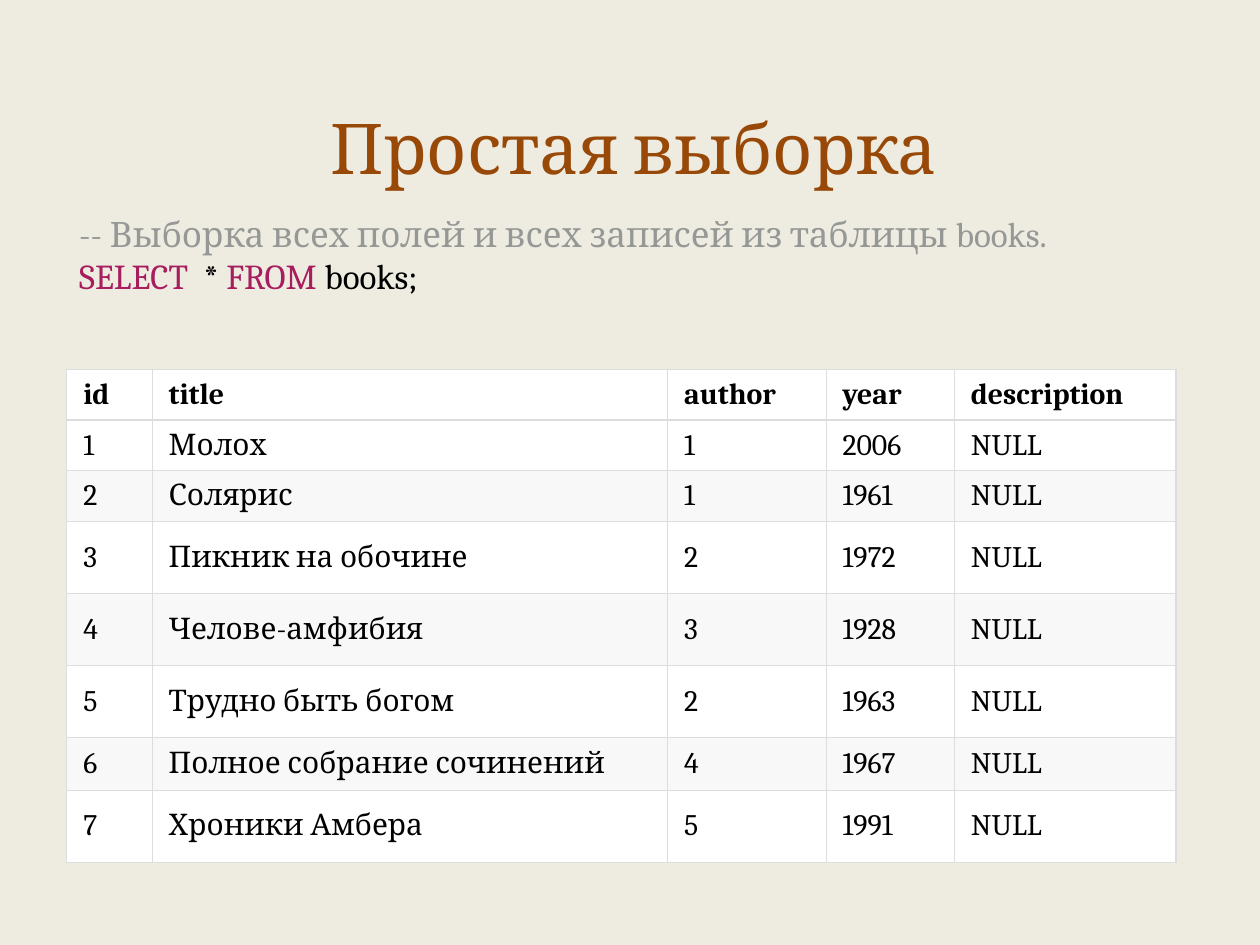
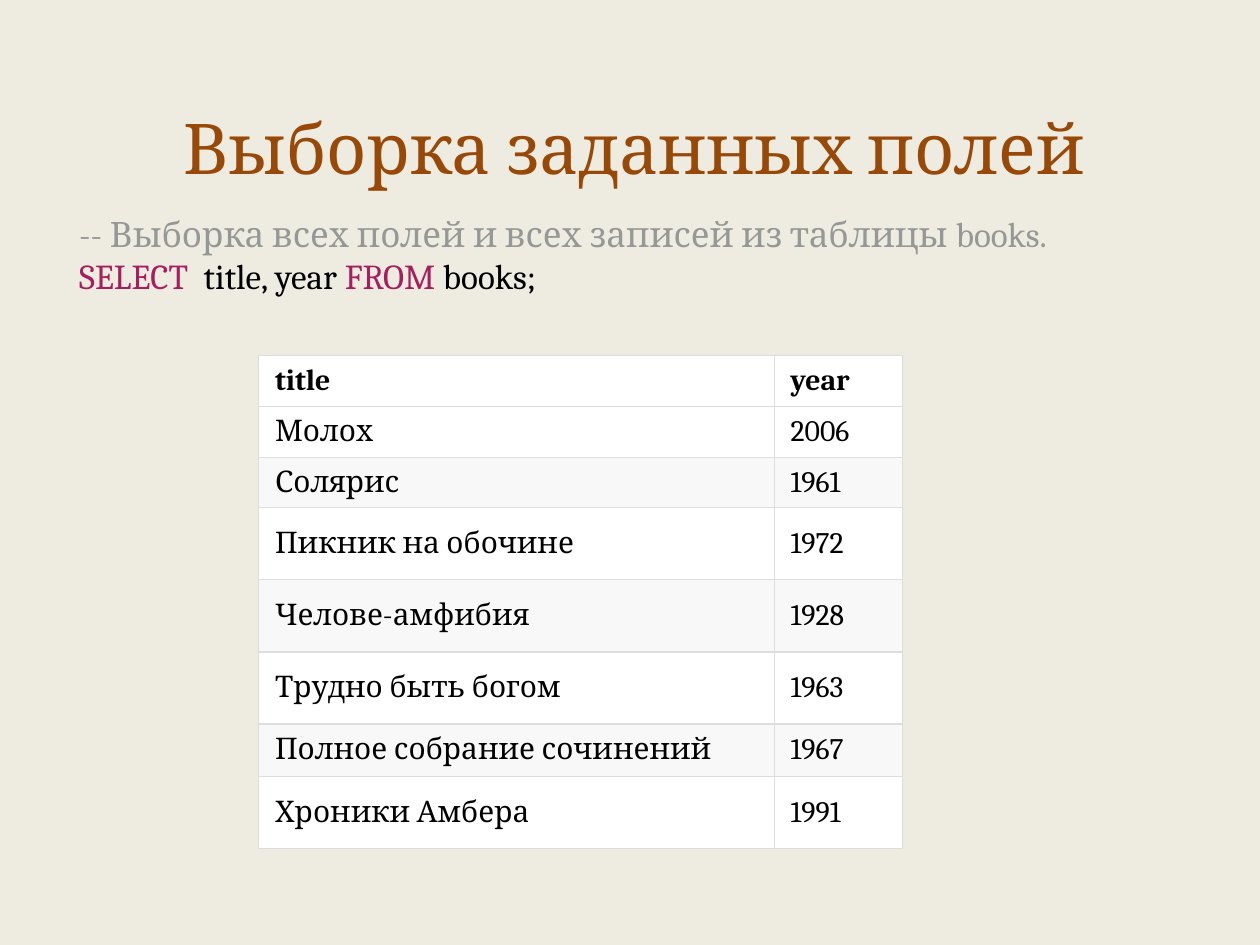
from dataclasses import dataclass

from lxml.etree import SubElement
from pptx import Presentation
from pptx.dml.color import RGBColor
from pptx.enum.text import MSO_ANCHOR as Anchor, MSO_AUTO_SIZE as AutoSize, PP_ALIGN as Align
from pptx.oxml.ns import qn
from pptx.util import Pt


@dataclass(frozen=True)
class Theme:
    font: str = "Cambria"
    background: str = "EEECE1"
    title: str = "984807"
    comment: str = "969896"
    keyword: str = "A71D5D"
    text: str = "000000"
    row: str = "FFFFFF"
    band: str = "F8F8F8"
    border: str = "DDDDDD"
    title_size: float = 40
    code_size: float = 20
    table_size: float = 17
    border_width: float = 0.75


# Column widths and row heights in points
COLUMN_WIDTHS = {"id": 48.8, "title": 294.6, "author": 90.5, "year": 73.4, "description": 126.6}
ROW_HEIGHTS = [28.8, 28.8, 28.8, 41.2, 41.2, 41.2, 30, 41.2]

# Records of the books table: title, author, year
BOOKS = [
    ("Молох", 1, 2006),
    ("Солярис", 1, 1961),
    ("Пикник на обочине", 2, 1972),
    ("Челове-амфибия", 3, 1928),
    ("Трудно быть богом", 2, 1963),
    ("Полное собрание сочинений", 4, 1967),
    ("Хроники Амбера", 5, 1991),
]
RECORDS = [
    {"id": number, "title": title, "author": author, "year": year, "description": "NULL"}
    for number, (title, author, year) in enumerate(BOOKS, 1)
]
COMMENT = "-- Выборка всех полей и всех записей из таблицы books."


def apply(target, values):
    for name, value in values.items():
        setattr(target, name, value)


class Deck:
    """Holds the theme, the presentation and the current slide."""

    def __init__(self, theme):
        self.theme = theme
        self.presentation = Presentation()
        apply(self.presentation, {"slide_width": Pt(720), "slide_height": Pt(540)})
        self.slide = None

    def new_slide(self):
        self.slide = self.presentation.slides.add_slide(self.presentation.slide_layouts[6])
        fill = self.slide.background.fill
        fill.solid()
        fill.fore_color.rgb = RGBColor.from_string(self.theme.background)

    def run(self, paragraph, text, size, color, bold=False):
        run = paragraph.add_run()
        run.text = text
        apply(run.font, {"name": self.theme.font, "size": Pt(size), "bold": bold})
        run.font.color.rgb = RGBColor.from_string(color)

    def text_frame(self, top, height, **frame_format):
        box = self.slide.shapes.add_textbox(Pt(38.2), Pt(top), Pt(648), Pt(height))
        apply(box.text_frame, {"word_wrap": True, **frame_format})
        return box.text_frame

    def title(self, text):
        frame = self.text_frame(38.9, 90, vertical_anchor=Anchor.MIDDLE)
        paragraph = frame.paragraphs[0]
        paragraph.alignment = Align.CENTER
        self.run(paragraph, text, self.theme.title_size, self.theme.title)

    def query(self, fields):
        theme = self.theme
        frame = self.text_frame(118.1, 55.4, auto_size=AutoSize.SHAPE_TO_FIT_TEXT)
        self.run(frame.paragraphs[0], COMMENT, theme.code_size, theme.comment)
        statement = frame.add_paragraph()
        for text, color in [
            ("SELECT  ", theme.keyword),
            (f"{fields} ", theme.text),
            ("FROM ", theme.keyword),
            ("books;", theme.text),
        ]:
            self.run(statement, text, theme.code_size, color)

    def borders(self, cell):
        properties = cell._tc.get_or_add_tcPr()
        for index, side in enumerate(("a:lnL", "a:lnR", "a:lnT", "a:lnB")):
            line = SubElement(properties, qn(side), w=str(Pt(self.theme.border_width)))
            fill = SubElement(line, qn("a:solidFill"))
            SubElement(fill, qn("a:srgbClr"), val=self.theme.border)
            # Border lines precede the cell fill
            properties.insert(index, line)

    def cell(self, cell, text, fill_color, bold):
        apply(cell, {
            "vertical_anchor": Anchor.MIDDLE,
            "margin_left": Pt(9.4), "margin_right": Pt(9.4),
            "margin_top": Pt(4.3), "margin_bottom": Pt(4.3),
        })
        cell.fill.solid()
        cell.fill.fore_color.rgb = RGBColor.from_string(fill_color)
        self.borders(cell)
        paragraph = cell.text_frame.paragraphs[0]
        self.run(paragraph, text, self.theme.table_size, self.theme.text, bold)

    def result_table(self, left, top, fields):
        widths = [COLUMN_WIDTHS[field] for field in fields]
        rows = [fields] + [[str(record[field]) for field in fields] for record in RECORDS]
        table = self.slide.shapes.add_table(
            len(rows), len(fields), Pt(left), Pt(top), Pt(sum(widths)), Pt(sum(ROW_HEIGHTS))
        ).table
        apply(table, {"first_row": False, "horz_banding": False})
        for column, width in zip(table.columns, widths):
            column.width = Pt(width)
        for index, (row, height, values) in enumerate(zip(table.rows, ROW_HEIGHTS, rows)):
            row.height = Pt(height)
            # Every second record is shaded
            shaded = index > 0 and index % 2 == 0
            fill_color = self.theme.band if shaded else self.theme.row
            for cell, text in zip(row.cells, values):
                self.cell(cell, text, fill_color, bold=index == 0)


def main():
    deck = Deck(Theme())

    # One slide per query: title, selected fields, result table
    for title, selection, left, top, fields in [
        ("Простая выборка", "*", 38.2, 211, list(COLUMN_WIDTHS)),
        ("Выборка заданных полей", "title, year", 147.8, 203.2, ["title", "year"]),
    ]:
        deck.new_slide()
        deck.title(title)
        deck.query(selection)
        deck.result_table(left, top, fields)

    deck.presentation.save("out.pptx")


if __name__ == "__main__":
    main()
